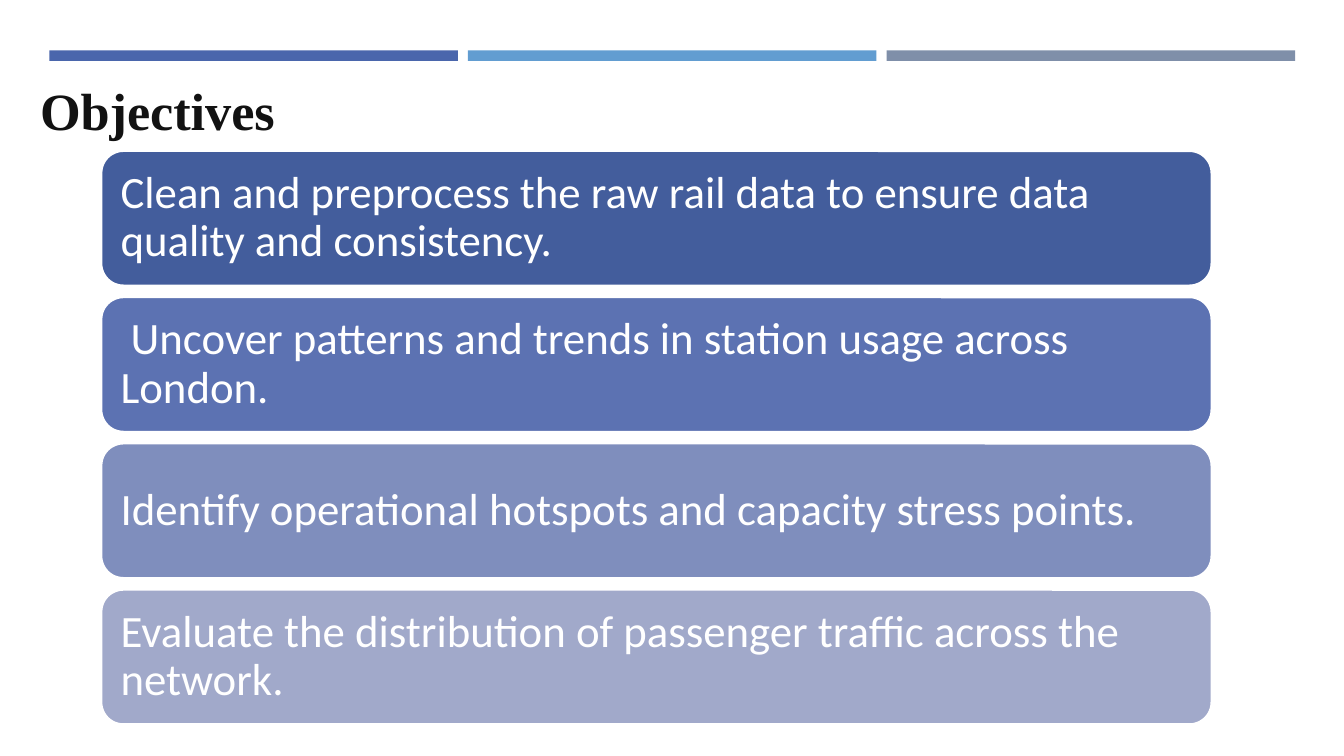
import pptx
import pptx.util
import pptx.dml.color
import pptx.enum.shapes
import pptx.enum.text

Pt = pptx.util.Pt
SHAPES = pptx.enum.shapes.MSO_SHAPE
ANCHOR = pptx.enum.text.MSO_ANCHOR
ALIGN = pptx.enum.text.PP_ALIGN

COLOURS = {
    "bars": ["4A66AC", "629DD1", "7F8FA9"],
    "cards": ["435D9C", "5C72B2", "7F8EBD", "A1A9CA"],
    "title": "121212",
    "white": "FFFFFF",
}
OBJECTIVES = [
    "Clean and preprocess the raw rail data to ensure data quality and consistency.",
    " Uncover patterns and trends in station usage across London.",
    "Identify operational hotspots and capacity stress points.",
    "Evaluate the distribution of passenger traffic across the network.",
]


def rgb(value):
    return pptx.dml.color.RGBColor.from_string(value)


def add_block(page, kind, left, top, width, height, fill):
    block = page.shapes.add_shape(kind, Pt(left), Pt(top), Pt(width), Pt(height))
    block.shadow.inherit = False
    block.fill.solid()
    block.fill.fore_color.rgb = rgb(fill)
    block.line.fill.background()
    return block


def add_span(para, text, font, size, colour, bold=False):
    span = para.add_run()
    span.text = text
    span.font.name = font
    span.font.size = Pt(size)
    span.font.bold = bold
    span.font.color.rgb = rgb(colour)


def add_bars(page, left, top, width, height, gap=5.4):
    """Coloured bars of equal width across the top."""
    count = len(COLOURS["bars"])
    bar_width = (width - gap * (count - 1)) / count
    for index, fill in enumerate(COLOURS["bars"]):
        add_block(page, SHAPES.RECTANGLE, left + index * (bar_width + gap), top,
                  bar_width, height, fill)


def add_title(page, left, top, width, height):
    box = page.shapes.add_textbox(Pt(left), Pt(top), Pt(width), Pt(height))
    box.text_frame.word_wrap = True
    add_span(box.text_frame.paragraphs[0], "Objectives", "Times New Roman", 28,
             COLOURS["title"], bold=True)


def add_objectives(page, left, top, width, height, gap=5.6):
    """Stacked cards, one for each objective."""
    count = len(OBJECTIVES)
    card_height = (height - gap * (count - 1)) / count
    for index, (text, fill) in enumerate(zip(OBJECTIVES, COLOURS["cards"])):
        card = add_block(page, SHAPES.ROUNDED_RECTANGLE, left,
                         top + index * (card_height + gap), width, card_height, fill)
        card.line.color.rgb = rgb(COLOURS["white"])
        card.line.width = Pt(1.75)
        frame = card.text_frame
        frame.word_wrap = True
        frame.vertical_anchor = ANCHOR.MIDDLE
        frame.margin_left = frame.margin_right = Pt(7.2)
        frame.margin_top = frame.margin_bottom = Pt(7.2)
        para = frame.paragraphs[0]
        para.alignment = ALIGN.LEFT
        para.line_spacing = 0.9
        add_span(para, text, "Calibri", 24, COLOURS["white"])


def main():
    deck = pptx.Presentation()
    deck.slide_width, deck.slide_height = Pt(720), Pt(405)
    page = deck.slides.add_slide(deck.slide_layouts[6])
    add_bars(page, 26.4, 27, 667.4, 5.6)
    add_title(page, 14.4, 38.2, 576, 41)
    add_objectives(page, 54, 80.6, 595.4, 307.8)
    deck.save("out.pptx")


if __name__ == "__main__":
    main()
